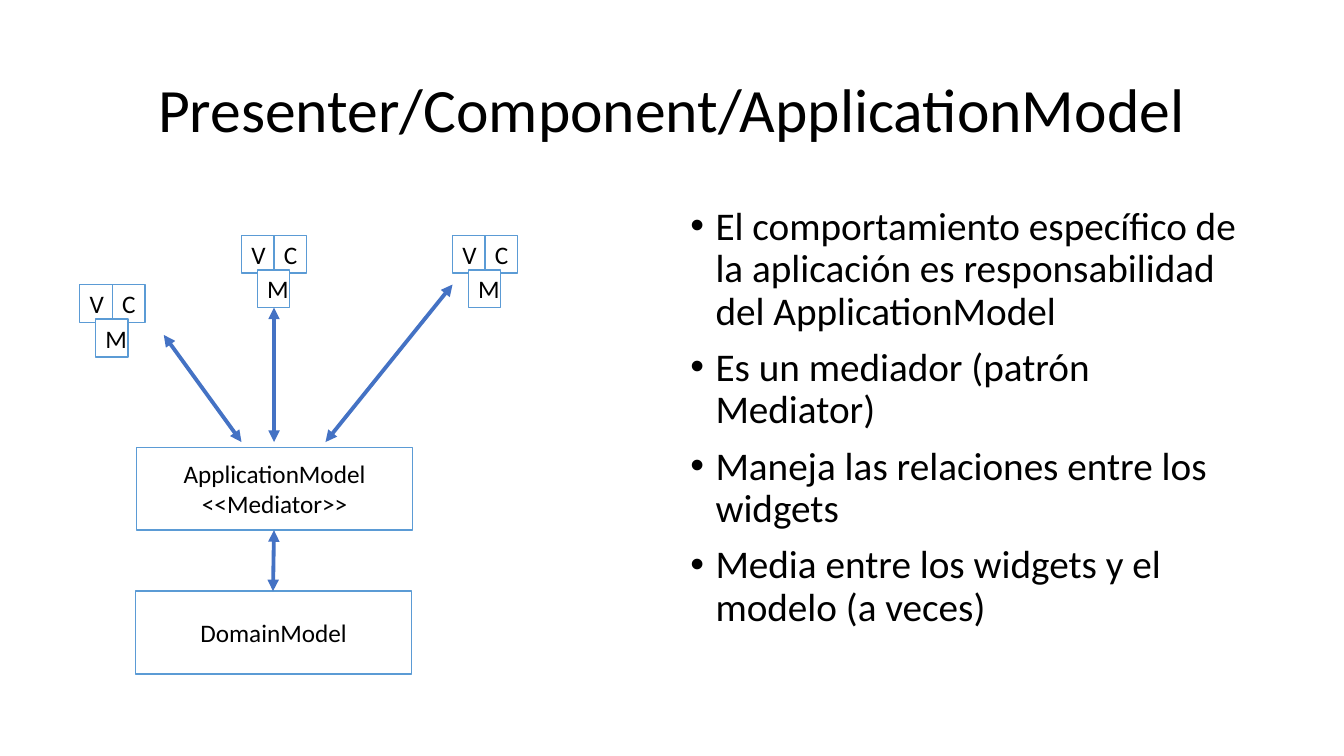
from lxml import etree
from pptx import Presentation
from pptx import util as u
from pptx.dml.color import RGBColor
from pptx.enum import shapes, text
from pptx.oxml.ns import qn

PX = 9525  # EMU per px, 96 px to the inch
COLORS = {"ink": "000000", "paper": "FFFFFF", "border": "5B9BD5", "arrow": "4472C4"}
FONT = "Calibri"

TITLE = ("Presenter/Component/ApplicationModel", (88, 38, 1104, 139))
BULLETS = [
    "El comportamiento específico de la aplicación es responsabilidad del ApplicationModel",
    "Es un mediador (patrón Mediator)",
    "Maneja las relaciones entre los widgets",
    "Media entre los widgets y el modelo (a veces)",
]
BULLETS_AREA = (648, 192, 544, 457)
BULLET_INDENT = 24

WIDGETS = [(76, 271), (230, 224), (431, 224)]
TILE_WIDTH, TILE_HEIGHT, MODEL_DROP = 31, 36, 33
TILES = {"V": (0, 0), "C": (TILE_WIDTH, 0), "M": (TILE_WIDTH // 2, MODEL_DROP)}

MODELS = [
    (["ApplicationModel", "<<Mediator>>"], (130, 426, 263, 79)),
    (["DomainModel"], (129, 563, 263, 79)),
]
ARROWS = [
    ((156, 319), (230, 421)),
    ((261, 293), (261, 421)),
    ((431, 271), (310, 421)),
    ((261, 505), (260, 563)),
]

CENTERED = {"alignment": text.PP_ALIGN.CENTER}
TITLE_FORMAT = {"alignment": text.PP_ALIGN.CENTER, "line_spacing": 0.9}
BULLET_FORMAT = {"alignment": text.PP_ALIGN.LEFT, "line_spacing": 0.9}


def emu(lengths):
    return [length * PX for length in lengths]


def color(name):
    return RGBColor.from_string(COLORS[name])


def write(box, lines, size, formats, anchor, bulleted=False):
    frame = box.text_frame
    frame.word_wrap = True
    frame.vertical_anchor = anchor
    for index, line in enumerate(lines):
        para = frame.paragraphs[0] if index == 0 else frame.add_paragraph()
        for name, value in formats.items():
            setattr(para, name, value)
        if bulleted:
            add_bullet(para)
            if index:
                para.space_before = u.Pt(10)
        span = para.add_run()
        span.text = line
        for name, value in {"name": FONT, "size": u.Pt(size)}.items():
            setattr(span.font, name, value)
        span.font.color.rgb = color("ink")


def add_bullet(para):
    props = para._p.get_or_add_pPr()
    props.set("marL", str(BULLET_INDENT * PX))
    props.set("indent", str(-BULLET_INDENT * PX))
    etree.SubElement(props, qn("a:buFont")).set("typeface", "Arial")
    etree.SubElement(props, qn("a:buChar")).set("char", "•")


def add_text(page, lines, area, size, formats, anchor, bulleted=False):
    box = page.shapes.add_textbox(*emu(area))
    write(box, lines, size, formats, anchor, bulleted)


def add_box(parent, lines, area):
    """Draw a bordered rectangle on a page or in a group."""
    box = parent.shapes.add_shape(shapes.MSO_SHAPE.RECTANGLE, *emu(area))
    box.shadow.inherit = False
    box.fill.solid()
    box.fill.fore_color.rgb = color("paper")
    box.line.color.rgb = color("border")
    box.line.width = u.Pt(1)
    write(box, lines, 18, CENTERED, text.MSO_ANCHOR.MIDDLE)


def add_widget(page, left, top):
    group = page.shapes.add_group_shape()
    for letter, (dx, dy) in TILES.items():
        add_box(group, [letter], (left + dx, top + dy, TILE_WIDTH, TILE_HEIGHT))


def add_arrow(page, start, end):
    arrow = page.shapes.add_connector(
        shapes.MSO_CONNECTOR.STRAIGHT, *emu(start), *emu(end))
    arrow.line.color.rgb = color("arrow")
    arrow.line.width = u.Pt(2.75)
    for tag in ("a:headEnd", "a:tailEnd"):
        etree.SubElement(arrow.line._get_or_add_ln(), qn(tag)).set("type", "triangle")
    etree.SubElement(arrow._element.spPr, qn("a:effectLst"))


def main():
    deck = Presentation()
    deck.slide_width, deck.slide_height = emu((1280, 720))
    page = deck.slides.add_slide(deck.slide_layouts[6])
    title, title_area = TITLE
    add_text(page, [title], title_area, 44, TITLE_FORMAT, text.MSO_ANCHOR.MIDDLE)
    add_text(page, BULLETS, BULLETS_AREA, 28, BULLET_FORMAT, text.MSO_ANCHOR.TOP,
             bulleted=True)
    for left, top in WIDGETS:
        add_widget(page, left, top)
    for lines, area in MODELS:
        add_box(page, lines, area)
    for start, end in ARROWS:
        add_arrow(page, start, end)
    deck.save("out.pptx")


if __name__ == "__main__":
    main()
